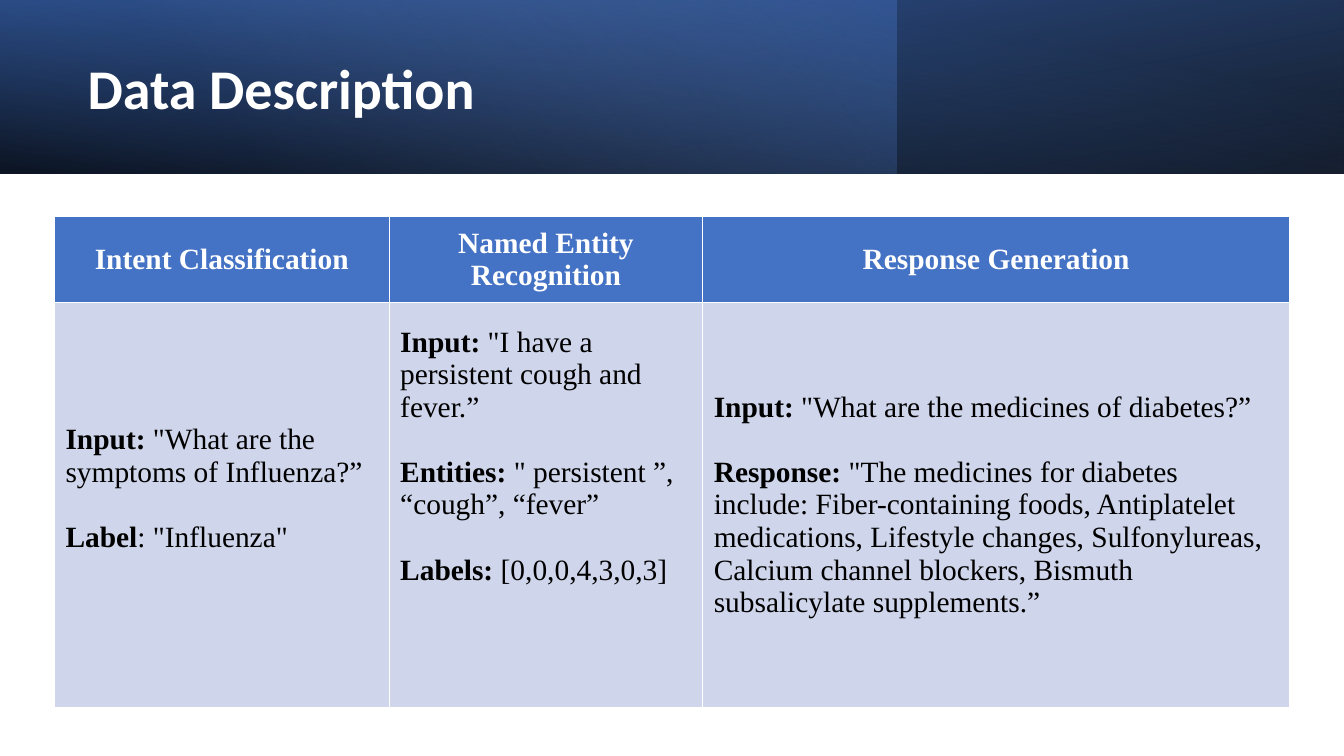
from lxml import etree
from pptx import Presentation
from pptx import util as u
from pptx.dml.color import RGBColor
from pptx.enum import shapes, text
from pptx.oxml.ns import nsdecls, qn

TITLE = "Data Description"
# header, column width, (label, example) lines, empty lines left below
COLUMNS = [
    ("Intent Classification", 3.32, [
        ("Input: ", "\"What are the symptoms of Influenza?”"),
        ("Label", ": \"Influenza\""),
    ], 1),
    ("Named Entity Recognition", 3.11, [
        ("Input: ", "\"I have a persistent cough and fever.”"),
        ("Entities: ", "\" persistent ”, “cough”, “fever”"),
        ("Labels:", " [0,0,0,4,3,0,3]"),
    ], 3),
    ("Response Generation", 5.82, [
        ("Input: ", "\"What are the medicines of diabetes?”"),
        ("Response: ", "\"The medicines for diabetes include: Fiber-containing foods, "
                       "Antiplatelet medications, Lifestyle changes, Sulfonylureas, "
                       "Calcium channel blockers, Bismuth subsalicylate supplements.”"),
    ], 0),
]
ROW_HEIGHTS = [0.85, 4.02]
BANNER_HEIGHT = 1.72
# width, rotation, mirrored, angle, stops as (position, colour, opacity)
BANNER_LAYERS = [
    (13.33, 180, True, 100, [(0, "000000", 96), (100, "2F5597", 100)]),
    (8.89, 0, False, 140, [(0, "4472C4", 41), (74, "8FAADC", 0)]),
    (13.33, 0, True, 260, [(0, "000000", 63), (78, "4472C4", 15)]),
]
HEADER_FILL, BODY_FILL = "4472C4", "CFD5EA"
TITLE_FONT = {"name": "Calibri", "size": u.Pt(40), "bold": True}
TABLE_FONT = {"name": "Times New Roman", "size": u.Pt(21)}
LINE = u.Pt(23.25)


def rgb(value):
    return RGBColor.from_string(value)


def style(font, colour, **formats):
    for name, value in formats.items():
        setattr(font, name, value)
    font.color.rgb = rgb(colour)


def add_run(paragraph, words, colour, bold):
    run = paragraph.add_run()
    run.text = words
    style(run.font, colour, bold=bold, **TABLE_FONT)


def fill_gradient(shape, angle, stops):
    shape.fill.background()
    stop_xml = "".join(
        f'<a:gs pos="{pos * 1000}"><a:srgbClr val="{colour}">'
        f'<a:alpha val="{opacity * 1000}"/></a:srgbClr></a:gs>'
        for pos, colour, opacity in stops)
    gradient = etree.fromstring(
        f'<a:gradFill {nsdecls("a")} rotWithShape="1"><a:gsLst>{stop_xml}</a:gsLst>'
        f'<a:lin ang="{angle * 60000}" scaled="0"/></a:gradFill>')
    properties = shape._element.spPr
    properties.replace(properties.find(qn("a:noFill")), gradient)


def add_banner(slide):
    for width, rotation, mirrored, angle, stops in BANNER_LAYERS:
        layer = slide.shapes.add_shape(shapes.MSO_SHAPE.RECTANGLE, 0, 0,
                                       u.Inches(width), u.Inches(BANNER_HEIGHT))
        layer.shadow.inherit = False
        layer.line.fill.background()
        layer.rotation = rotation
        if mirrored:
            layer._element.spPr.xfrm.set("flipH", "1")
        fill_gradient(layer, angle, stops)


def add_title(slide):
    title = slide.shapes.title
    slide.shapes._spTree.append(title._element)  # in front of the banner
    title.left, title.top, title.width, title.height = map(u.Inches, (0.77, 0.27, 7.72, 1.27))
    frame = title.text_frame
    frame.text = TITLE
    frame.vertical_anchor = text.MSO_ANCHOR.MIDDLE
    heading = frame.paragraphs[0]
    heading.alignment = text.PP_ALIGN.LEFT
    heading.line_spacing = 0.9
    style(heading.runs[0].font, "FFFFFF", **TITLE_FONT)


def prepare_cell(cell, fill):
    cell.fill.solid()
    cell.fill.fore_color.rgb = rgb(fill)
    cell.vertical_anchor = text.MSO_ANCHOR.MIDDLE
    cell.margin_left = cell.margin_right = u.Inches(0.11)
    cell.margin_top = cell.margin_bottom = u.Inches(0.05)


def add_examples_table(slide):
    width = sum(column[1] for column in COLUMNS)
    table = slide.shapes.add_table(
        len(ROW_HEIGHTS), len(COLUMNS), u.Inches(0.54), u.Inches(2.15),
        u.Inches(width), u.Inches(sum(ROW_HEIGHTS))).table
    for row, height in zip(table.rows, ROW_HEIGHTS):
        row.height = u.Inches(height)
    for index, (header, column_width, examples, empty_lines) in enumerate(COLUMNS):
        table.columns[index].width = u.Inches(column_width)
        head, body = table.cell(0, index), table.cell(1, index)
        prepare_cell(head, HEADER_FILL)
        prepare_cell(body, BODY_FILL)
        body.margin_bottom += empty_lines * LINE
        caption = head.text_frame.paragraphs[0]
        caption.alignment = text.PP_ALIGN.CENTER
        add_run(caption, header, "FFFFFF", True)
        for number, (label, example) in enumerate(examples):
            frame = body.text_frame
            paragraph = frame.add_paragraph() if number else frame.paragraphs[0]
            if number:
                paragraph.space_before = LINE
            add_run(paragraph, label, "000000", True)
            add_run(paragraph, example, "000000", False)


def main():
    deck = Presentation()
    deck.slide_width, deck.slide_height = u.Inches(13.33), u.Inches(7.5)
    slide = deck.slides.add_slide(deck.slide_layouts.get_by_name("Title Only"))
    add_banner(slide)
    add_title(slide)
    add_examples_table(slide)
    deck.save("out.pptx")


if __name__ == "__main__":
    main()
